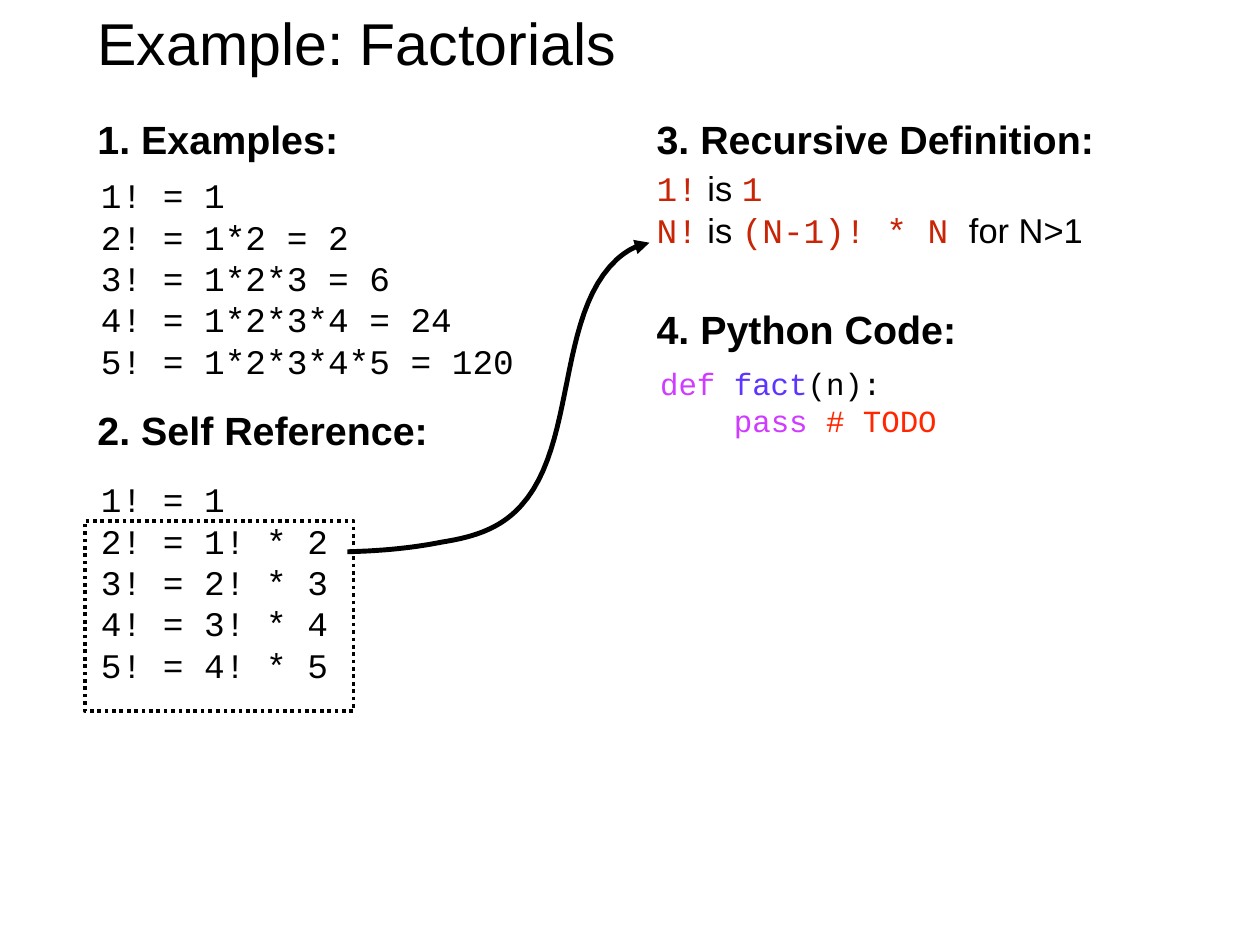
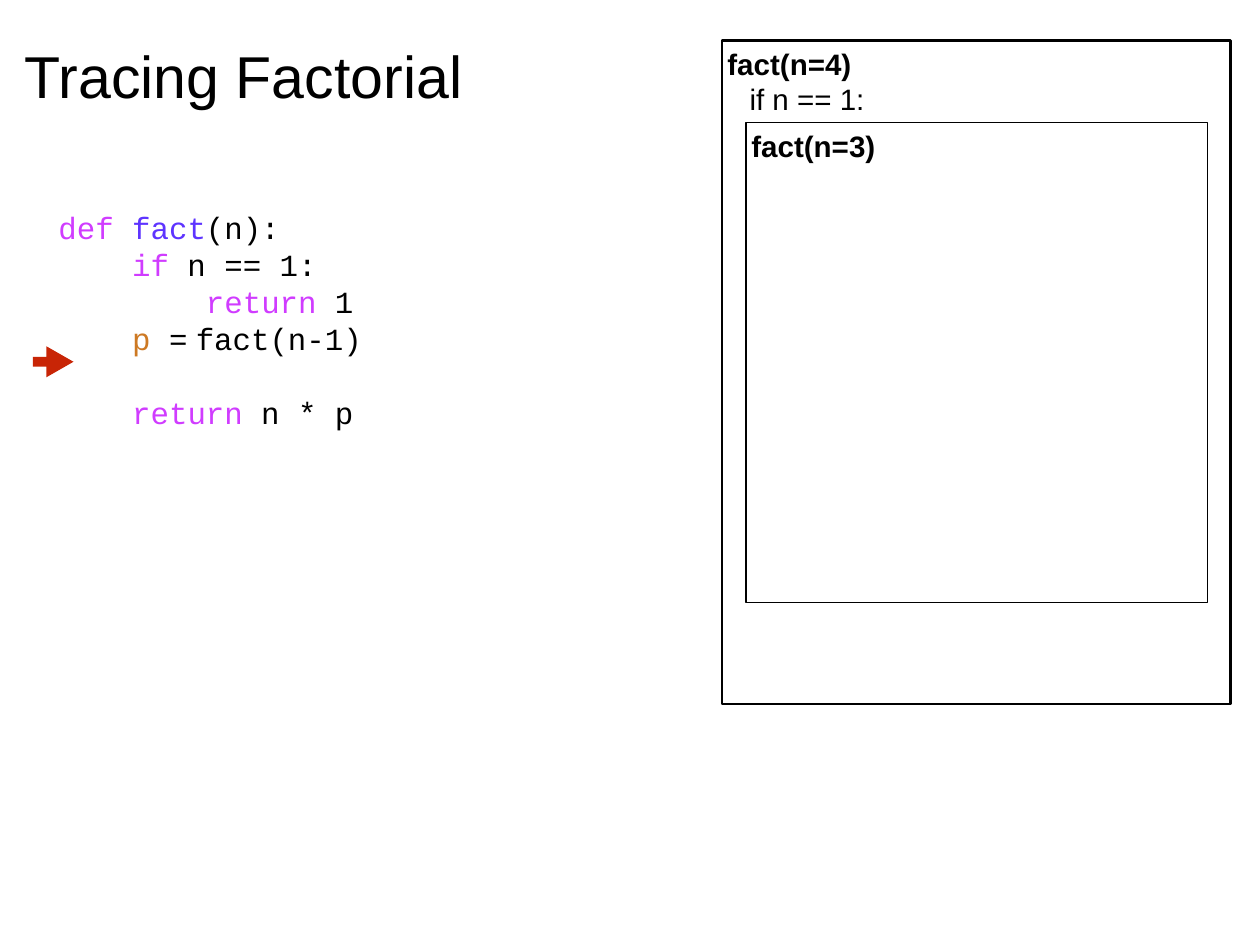
import lxml.etree
import pptx
import pptx.dml.color
import pptx.enum.dml
import pptx.enum.shapes
import pptx.enum.text
import pptx.oxml.ns
import pptx.util

Inches = pptx.util.Inches
Pt = pptx.util.Pt
RGBColor = pptx.dml.color.RGBColor
SHAPE = pptx.enum.shapes.MSO_SHAPE
ANCHOR = pptx.enum.text.MSO_ANCHOR
qn = pptx.oxml.ns.qn

BLACK = RGBColor(0x00, 0x00, 0x00)
WHITE = RGBColor(0xFF, 0xFF, 0xFF)
RED = RGBColor(0xC8, 0x25, 0x06)
KEYWORD = RGBColor(0xD0, 0x3C, 0xFF)
FUNCTION = RGBColor(0x5E, 0x34, 0xFF)
COMMENT = RGBColor(0xFF, 0x26, 0x00)
VARIABLE = RGBColor(0xCD, 0x79, 0x23)

SANS = "Arial"
MONO = "Courier New"
CODE_SIZE = 25
TITLE_ONLY = 5
INSET = Inches(0.06)
SIGNATURE = [("def ", KEYWORD), ("fact", FUNCTION), "(n):"]


def inches(*lengths):
    return [Inches(length) for length in lengths]


def write(shape, lines, size=28, font=SANS, bold=False, color=BLACK, anchor=ANCHOR.TOP, wrap=True):
    """Each line is a string or a list of runs; a run is a string or (text, color[, font])."""
    frame = shape.text_frame
    frame.word_wrap = wrap
    frame.auto_size = pptx.enum.text.MSO_AUTO_SIZE.NONE
    frame.vertical_anchor = anchor
    frame.margin_left = frame.margin_right = frame.margin_top = frame.margin_bottom = INSET
    for index, line in enumerate(lines):
        paragraph = frame.add_paragraph() if index else frame.paragraphs[0]
        paragraph.alignment = pptx.enum.text.PP_ALIGN.LEFT
        for part in [line] if isinstance(line, str) else line:
            text, run_color, run_font = ((part,) if isinstance(part, str) else part) + (color, font)[
                0 if isinstance(part, str) else len(part) - 1:]
            run = paragraph.add_run()
            run.text = text
            run.font.size = Pt(size)
            run.font.name = run_font
            run.font.bold = bold
            run.font.color.rgb = run_color
    return frame.paragraphs


def add_text(slide, box, lines, **text_format):
    return write(slide.shapes.add_textbox(*inches(*box)), lines, **text_format)


def add_shape(slide, kind, box, fill=None, line_width=None):
    shape = slide.shapes.add_shape(kind, *inches(*box))
    style_shape(shape, fill, line_width)
    return shape


def style_shape(shape, fill=None, line_width=None):
    shape.shadow.inherit = False
    if fill is None:
        shape.fill.background()
    else:
        shape.fill.solid()
        shape.fill.fore_color.rgb = fill
    if line_width is None:
        shape.line.fill.background()
    else:
        shape.line.color.rgb = BLACK
        shape.line.width = Pt(line_width)


def add_titled_slide(presentation, title, box):
    slide = presentation.slides.add_slide(presentation.slide_layouts[TITLE_ONLY])
    placeholder = slide.shapes.title
    placeholder.left, placeholder.top, placeholder.width, placeholder.height = inches(*box)
    write(placeholder, [title], size=48, anchor=ANCHOR.MIDDLE)
    return slide


def add_section(slide, left, top, width, heading, body, offset, body_size, **text_format):
    add_text(slide, (left, top, width, 0.81), [heading], size=32, bold=True)
    across, down = offset
    add_text(slide, (left + across, top + down, *body_size), body, **text_format)


def curve_points(start, segments, steps=24):
    points = [start]
    for first, second, end in segments:
        for step in range(1, steps + 1):
            t = step / steps
            weights = ((1 - t) ** 3, 3 * t * (1 - t) ** 2, 3 * t * t * (1 - t), t ** 3)
            corners = (start, first, second, end)
            points.append(tuple(sum(w * corner[axis] for w, corner in zip(weights, corners))
                                for axis in (0, 1)))
        start = end
    return points


def add_curved_arrow(slide, start, segments):
    points = [inches(*point) for point in curve_points(start, segments)]
    builder = slide.shapes.build_freeform(*points[0])
    builder.add_line_segments(points[1:], close=False)
    arrow = builder.convert_to_shape()
    style_shape(arrow, line_width=4)
    line = arrow.line._get_or_add_ln()
    lxml.etree.SubElement(line, qn("a:tailEnd"), type="triangle")


def add_call_frame(slide, box, lines, line_width):
    frame = add_shape(slide, SHAPE.RECTANGLE, box, WHITE, line_width)
    paragraphs = write(frame, lines[:1], size=24, bold=True)
    for line in lines[1:]:
        paragraph = frame.text_frame.add_paragraph()
        paragraph.alignment = paragraphs[0].alignment
        paragraph._p.get_or_add_pPr().set("marL", str(Inches(0.25)))
        run = paragraph.add_run()
        run.text = line
        run.font.size = Pt(24)
        run.font.name = SANS
        run.font.color.rgb = BLACK


def add_code_trace(slide, left, top):
    lines = [
        SIGNATURE,
        [("    if", KEYWORD), " n == 1:"],
        [("        return", KEYWORD), " 1"],
        [("    p", VARIABLE), " =\tfact(n-1)"],
        [("    return", KEYWORD), " n * p"],
    ]
    paragraphs = add_text(slide, (left, top, 6.84, 2.12), lines,
                          size=CODE_SIZE, font=MONO, anchor=ANCHOR.MIDDLE)
    tabs = lxml.etree.SubElement(paragraphs[3]._p.get_or_add_pPr(), qn("a:tabLst"))
    lxml.etree.SubElement(tabs, qn("a:tab"), pos=str(Inches(1.55)), algn="l")
    paragraphs[4].space_before = Pt(30)
    marker = add_shape(slide, SHAPE.RIGHT_ARROW, (left - 0.23, top + 1.36, 0.46, 0.35), RED)
    marker.adjustments[0] = 0.32
    marker.adjustments[1] = 0.875


def build_example_slide(presentation):
    slide = add_titled_slide(presentation, "Example: Factorials", (1.04, 0.01, 12.14, 0.93))
    left, right, top = 1.04, 7.35, 1.24
    narrow, wide = 5.39, 6.42
    examples = ["1! = 1", "2! = 1*2 = 2", "3! = 1*2*3 = 6",
                "4! = 1*2*3*4 = 24", "5! = 1*2*3*4*5 = 120"]
    references = ["1! = 1"] + [f"{n}! = {n - 1}! * {n}" for n in range(2, 6)]
    definition = [
        [("1!", RED, MONO), " is ", ("1", RED, MONO)],
        [("N!", RED, MONO), " is ", ("(N-1)! * N ", RED, MONO), "for N>1"],
    ]
    code = [SIGNATURE, [("    pass ", KEYWORD), ("# TODO", COMMENT)]]
    add_section(slide, left, top, narrow, "1. Examples:", examples,
                (0.04, 0.67), (4.79, 2.47), font=MONO, wrap=False)
    add_section(slide, left, 4.53, narrow, "2. Self Reference:", references,
                (0.04, 0.81), (2.93, 2.47), font=MONO, wrap=False)
    add_section(slide, right, top, wide, "3. Recursive Definition:", definition,
                (0, 0.59), (narrow, 1.31))
    add_section(slide, right, 3.38, wide, "4. Python Code:", code,
                (0.04, 0.68), (6.62, 1.32), size=CODE_SIZE, font=MONO)
    add_curved_arrow(slide, (3.92, 6.23), [
        ((4.29, 6.22), (4.64, 6.19), (4.99, 6.12)),
        ((5.3, 6.07), (5.63, 5.99), (5.88, 5.71)),
        ((6.51, 5.02), (6.28, 3.56), (6.96, 2.93)),
        ((7.07, 2.83), (7.2, 2.76), (7.33, 2.74)),
    ])
    pattern_box = add_shape(slide, SHAPE.RECTANGLE, (0.96, 5.88, 3.03, 2.15), line_width=3)
    pattern_box.line.dash_style = pptx.enum.dml.MSO_LINE.ROUND_DOT


def build_tracing_slide(presentation):
    slide = add_titled_slide(presentation, "Tracing Factorial", (0.22, 0.14, 6.48, 1.41))
    left, top, width, height = 8.15, 0.46, 5.74, 7.49
    add_call_frame(slide, (left, top, width, height), ["fact(n=4)", "if n == 1:"], 2)
    add_call_frame(slide, (left + 0.27, top + 0.92, width - 0.53, height - 2.07), ["fact(n=3)"], 1)
    add_code_trace(slide, 0.6, 2.55)


def main():
    presentation = pptx.Presentation()
    presentation.slide_width, presentation.slide_height = inches(14.22, 10.67)
    build_example_slide(presentation)
    build_tracing_slide(presentation)
    presentation.save("out.pptx")


if __name__ == "__main__":
    main()
